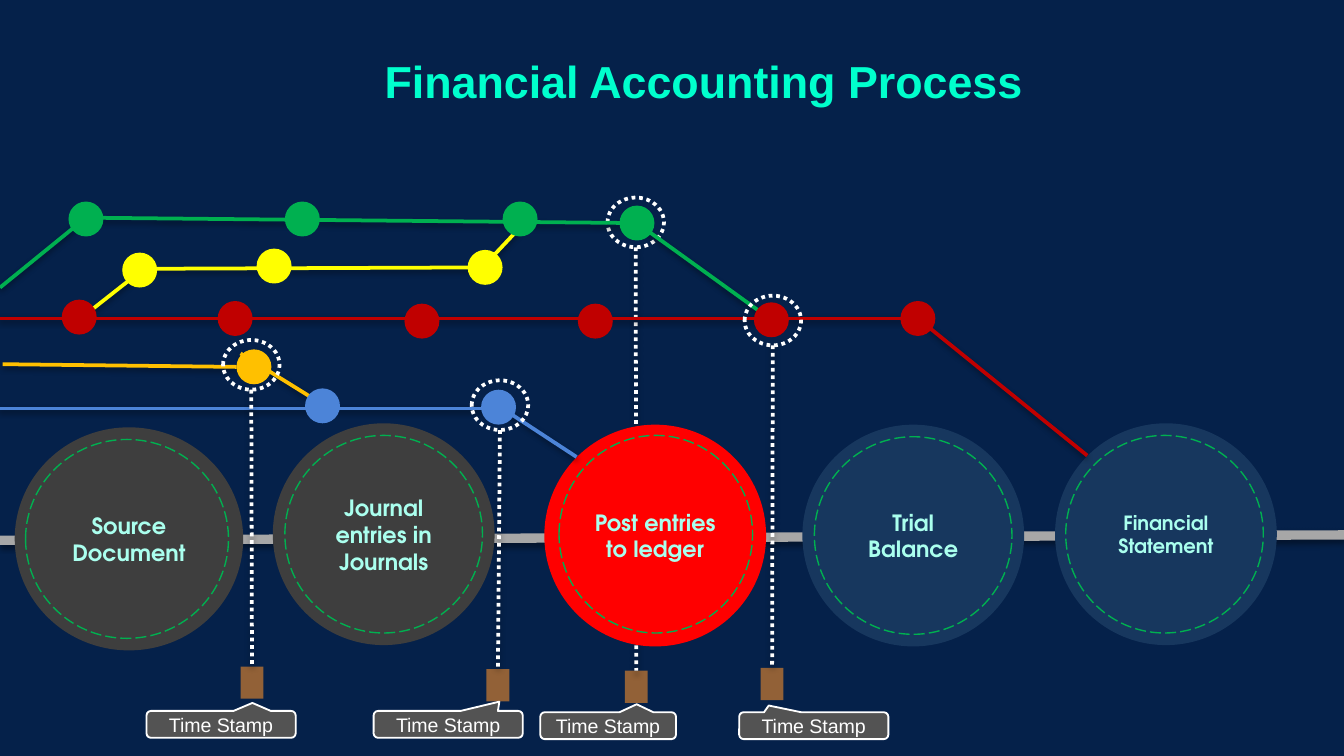
from itertools import pairwise

from lxml import etree
from pptx import Presentation
from pptx import util as u
from pptx.dml.color import RGBColor
from pptx.enum import dml, shapes, text
from pptx.oxml.ns import qn

SCALE = 4572
COLORS = {
    "night": "05214A", "mint": "00FFCD", "pale": "AAFFEE", "white": "FFFFFF",
    "track": "A7A7A7", "gray": "3E3E3E", "navy": "17375E", "bright": "FF0000",
    "green": "00B050", "yellow": "FFFF00", "red": "C00000", "amber": "FFC000",
    "blue": "4C84D8", "brown": "926137", "label": "535353", "shadow": "000000",
}
STAGES = [
    ("Source Document", "gray", (22, 636, 340, 332), (38, 654, 302, 296), 12),
    ("Journal entries in Journals", "gray", (406, 630, 330, 330), (424, 648, 294, 294), 12),
    ("Post entries to ledger", "bright", (810, 632, 330, 330), (832, 648, 288, 294), 12),
    ("Trial Balance", "navy", (1194, 632, 330, 330), (1212, 650, 294, 294), 12),
    ("Financial Statement", "navy", (1570, 630, 330, 330), (1586, 648, 294, 294), 10.5),
]
ROUTES = [
    ("yellow", [[(120, 474), (214, 400), (718, 398), (780, 332)]],
     [(182, 376), (382, 370), (696, 372)]),
    ("green", [[(0, 428), (128, 324), (948, 332), (1148, 476)]],
     [(102, 300), (424, 300), (748, 300), (922, 306)]),
    ("red", [[(-2, 474), (1360, 474)], [(1366, 474), (1618, 678)]],
     [(1122, 450), (92, 446), (324, 448), (602, 452), (860, 452), (1340, 448)]),
    ("amber", [[(4, 542), (352, 546)], [(358, 526), (490, 608)]], [(352, 520)]),
    ("blue", [[(-2, 608), (738, 608)], [(748, 608), (858, 680)]],
     [(716, 580), (454, 578)]),
]
LEDGER_STAMP = ((904, 294), (930, 998))
STAMPS = [((702, 566), (724, 996)), ((1108, 440), (1132, 994)), ((332, 506), (358, 992))]
LABELS = [
    ((556, 1058, 222, 40), (0.343, -0.845)),
    ((804, 1060, 202, 40), (0.21, -0.798)),
    ((218, 1058, 222, 40), (0.21, -0.798)),
    ((1100, 1060, 222, 40), (-0.302, -0.751)),
]


def px(length):
    """Turn px into EMU."""
    return u.Emu(length * SCALE)


def rgb(color):
    """Look up a named colour."""
    return RGBColor.from_string(COLORS[color])


def write(shape, words, size, color, font="Arial", bold=False, margin=None,
          anchor=text.MSO_ANCHOR.MIDDLE):
    """Write centred, formatted text into a shape."""
    frame = shape.text_frame
    frame.word_wrap = True
    frame.vertical_anchor = anchor
    if margin is not None:
        frame.margin_left = frame.margin_right = px(margin)
        frame.margin_top = frame.margin_bottom = px(margin)
    frame.text = words
    paragraph = frame.paragraphs[0]
    paragraph.alignment = text.PP_ALIGN.CENTER
    style = paragraph.runs[0].font
    style.name, style.size, style.bold = font, u.Pt(size), bold
    style.color.rgb = rgb(color)


def add_figure(parent, preset, box, fill=None, outline=None, width=1, dash=None):
    """Add a preset shape with a plain fill or outline."""
    figure = parent.shapes.add_shape(preset, *map(px, box))
    figure.shadow.inherit = False
    if fill:
        figure.fill.solid()
        figure.fill.fore_color.rgb = rgb(fill)
    else:
        figure.fill.background()
    if outline:
        figure.line.color.rgb = rgb(outline)
        figure.line.width = u.Pt(width)
        figure.line.dash_style = dash
    else:
        figure.line.fill.background()
    return figure


def add_line(parent, start, end, color, width=2, dash=None):
    """Add a straight connector with a soft shadow below it."""
    line = parent.shapes.add_connector(
        shapes.MSO_CONNECTOR.STRAIGHT, *map(px, (*start, *end)))
    line.line.color.rgb = rgb(color)
    line.line.width = u.Pt(width)
    line.line.dash_style = dash
    effects = etree.SubElement(line._element.spPr, qn("a:effectLst"))
    shadow = etree.SubElement(effects, qn("a:outerShdw"), blurRad="38100",
                              dist="20320", dir="5400000", rotWithShape="0")
    tint = etree.SubElement(shadow, qn("a:srgbClr"), val=COLORS["shadow"])
    etree.SubElement(tint, qn("a:alpha"), val="38000")
    return line


def add_stamp(slide, ring, post):
    """Add a dotted ring tied to a post below it."""
    group = slide.shapes.add_group_shape()
    dots = dml.MSO_LINE.ROUND_DOT
    base = add_figure(group, shapes.MSO_SHAPE.RECTANGLE, (*post, 34, 48), "brown")
    add_figure(group, shapes.MSO_SHAPE.OVAL, (*ring, 84, 74), None, "white", 2, dots)
    tie = add_line(group, (ring[0] + 42, ring[1] + 74), (post[0] + 17, post[1]),
                   "white", dash=dots)
    tie.end_connect(base, 0)


def add_stage(slide, words, color, disc, ring, size):
    """Add a named process disc with a dashed inner ring."""
    group = slide.shapes.add_group_shape()
    stage = add_figure(group, shapes.MSO_SHAPE.OVAL, disc, color)
    write(stage, words, size, "pale", "TeX Gyre Adventor", True)
    add_figure(group, shapes.MSO_SHAPE.OVAL, ring, None, "green", 0.75,
               dml.MSO_LINE.LONG_DASH)


def add_route(slide, color, tracks, stops):
    """Add the lines of a route and its round stops."""
    group = slide.shapes.add_group_shape()
    for track in tracks:
        for start, end in pairwise(track):
            add_line(group, start, end, color)
    for stop in stops:
        add_figure(group, shapes.MSO_SHAPE.OVAL, (*stop, 52, 52), color)


def add_label(slide, box, tip):
    """Add a time stamp callout with its tip offset."""
    label = add_figure(slide, shapes.MSO_SHAPE.ROUNDED_RECTANGULAR_CALLOUT, box,
                       "label", "white")
    label.adjustments[0], label.adjustments[1] = tip
    write(label, "Time Stamp", 10.5, "white", margin=0)


def add_title(slide):
    """Place and format the slide title."""
    title = slide.shapes.title
    title.left, title.top, title.width, title.height = map(px, (404, 60, 1286, 120))
    write(title, "Financial Accounting Process", 24, "mint", bold=True, margin=20,
          anchor=text.MSO_ANCHOR.BOTTOM)


def main():
    """Build the slide and save it."""
    deck = Presentation()
    deck.slide_width, deck.slide_height = px(2000), px(1125)
    slide = deck.slides.add_slide(deck.slide_layouts[5])
    slide.background.fill.solid()
    slide.background.fill.fore_color.rgb = rgb("night")
    add_title(slide)
    add_stamp(slide, *LEDGER_STAMP)
    add_line(slide, (0, 804), (2000, 796), "track", 5)
    for stage in STAGES:
        add_stage(slide, *stage)
    for route in ROUTES:
        add_route(slide, *route)
    for stamp in STAMPS:
        add_stamp(slide, *stamp)
    for label in LABELS:
        add_label(slide, *label)
    deck.save("out.pptx")


if __name__ == "__main__":
    main()
